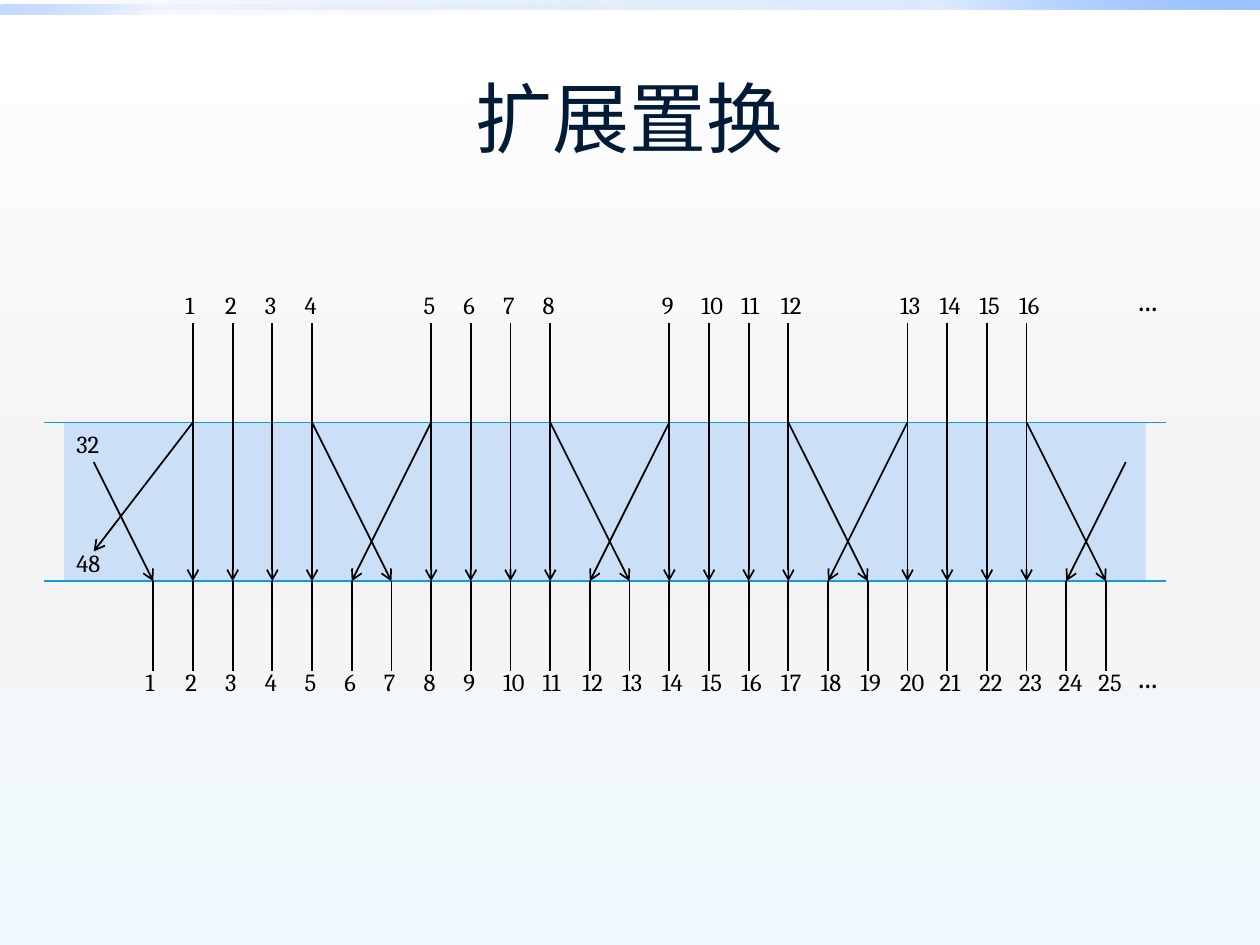
from dataclasses import dataclass

from lxml import etree
from pptx import Presentation
from pptx.dml.color import RGBColor
from pptx.enum.shapes import MSO_CONNECTOR, MSO_SHAPE
from pptx.enum.text import MSO_ANCHOR, MSO_AUTO_SIZE, PP_ALIGN
from pptx.oxml.ns import qn
from pptx.util import Inches, Pt

STRAIGHT = MSO_CONNECTOR.STRAIGHT
RECT = MSO_SHAPE.RECTANGLE
MIDDLE = MSO_ANCHOR.MIDDLE
GROW = MSO_AUTO_SIZE.SHAPE_TO_FIT_TEXT
CENTER = PP_ALIGN.CENTER
TITLE_ONLY = 5


@dataclass(frozen=True)
class Theme:
    title_font: str = "Roboto"
    label_font: str = "Cambria"
    title_size: int = 44
    label_size: int = 14
    dots_size: int = 18
    line_width: int = 1
    title: str = "001B36"
    ink: str = "000000"
    rail: str = "0D9BE9"
    band: str = "1B8DFF"
    band_alpha: int = 19
    # Gradient stops: position, colour, opacity (all in percent but the colour)
    background: tuple = ((0, "FFFFFF", 100), (55, "F4F4F4", 100), (100, "EEF9FF", 100))
    long_strip: tuple = ((0, "0058B7", 0), (75, "4F95FF", 20), (100, "9EC2FF", 100))
    short_strip: tuple = ((0, "0058B7", 0), (75, "4F95FF", 5), (100, "9EC2FF", 60))


THEME = Theme()
INPUTS, GROUP = 16, 4
OUTPUTS = 25
# Diagram grid: square units, counted from the column before output 1
GRID_WIDTH, FIRST_COL = 28.25, -1.75
INPUT_LABELS, INPUT_START, TOP_RAIL = 0, 1, 3.5
BOTTOM_RAIL, OUTPUT_LABELS, OUTPUT_END = 7.5, 9.5, 9.75


def set_alpha(color, percent):
    etree.SubElement(color, qn("a:alpha"), val=str(percent * 1000))


def fill_gradient(fill, stops, clockwise_angle):
    fill.gradient()
    fill.gradient_angle = 360 - clockwise_angle
    stop_list = fill._fill._gradFill.find(qn("a:gsLst"))
    for old in list(stop_list):
        stop_list.remove(old)
    for pos, rgb, alpha in stops:
        stop = etree.SubElement(stop_list, qn("a:gs"), pos=str(pos * 1000))
        set_alpha(etree.SubElement(stop, qn("a:srgbClr"), val=rgb), alpha)


def style_text(tf, font, size, color):
    for p in tf.paragraphs:
        for r in p.runs:
            r.font.name = font
            r.font.size = Pt(size)
            r.font.color.rgb = RGBColor.from_string(color)


def add_rect(slide, left, top, width, height):
    sp = slide.shapes.add_shape(RECT, int(left), int(top), int(width), int(height))
    sp.shadow.inherit = False
    sp.line.fill.background()
    return sp


def add_strips(slide, width, height):
    """Top edge decoration: a full strip and a fainter half strip below it."""
    full = add_rect(slide, 0, 0, width, height)
    fill_gradient(full.fill, THEME.long_strip, 315)
    half = add_rect(slide, 0, height / 2, width / 2, height)
    fill_gradient(half.fill, THEME.short_strip, 135)


def add_title(slide, text, left, top, width, height):
    title = slide.shapes.title
    title.left, title.top, title.width, title.height = map(int, (left, top, width, height))
    tf = title.text_frame
    tf.text = text
    tf.vertical_anchor = MIDDLE
    tf.paragraphs[0].alignment = CENTER
    style_text(tf, THEME.title_font, THEME.title_size, THEME.title)


def add_permutation(slide, left, top, width):
    unit = width / GRID_WIDTH

    def x(col):
        return int(left + (col - FIRST_COL) * unit)

    def y(row):
        return int(top + row * unit)

    def line(start, end, color=THEME.ink, arrow=False):
        cn = slide.shapes.add_connector(
            STRAIGHT, x(start[0]), y(start[1]), x(end[0]), y(end[1]))
        cn.line.color.rgb = RGBColor.from_string(color)
        cn.line.width = Pt(THEME.line_width)
        if arrow:
            etree.SubElement(cn.line._get_or_add_ln(), qn("a:tailEnd"), type="arrow")
        etree.SubElement(cn._element.spPr, qn("a:effectLst"))

    def label(text, col, row, cols=1.5, rows=1.08, size=THEME.label_size):
        box = slide.shapes.add_textbox(x(col), y(row), int(cols * unit), int(rows * unit))
        tf = box.text_frame
        tf.word_wrap = True
        tf.auto_size = GROW
        tf.text = str(text)
        style_text(tf, THEME.label_font, size, THEME.ink)

    band = add_rect(slide, x(-1.25), y(TOP_RAIL), 27.25 * unit,
                    (BOTTOM_RAIL - TOP_RAIL) * unit)
    band.fill.solid()
    band.fill.fore_color.rgb = RGBColor.from_string(THEME.band)
    set_alpha(band._element.spPr.find(".//" + qn("a:srgbClr")), THEME.band_alpha)
    for row in (TOP_RAIL, BOTTOM_RAIL):
        line((FIRST_COL, row), (FIRST_COL + GRID_WIDTH, row), THEME.rail)

    for n in range(1, INPUTS + 1):
        group, place = divmod(n - 1, GROUP)
        col = n + 1 + 2 * group
        line((col, INPUT_START), (col, BOTTOM_RAIL), arrow=True)
        label(n, col - 0.5, INPUT_LABELS)
        if place == GROUP - 1:
            line((col, TOP_RAIL), (col + 2, BOTTOM_RAIL), arrow=True)
        elif place == 0 and group:
            line((col, TOP_RAIL), (col - 2, BOTTOM_RAIL), arrow=True)

    for n in range(1, OUTPUTS + 1):
        line((n, BOTTOM_RAIL), (n, OUTPUT_END))
        label(n, n - 0.5, OUTPUT_LABELS)

    # Wrap-around links at both ends
    line((2, TOP_RAIL), (-0.5, 6.75), arrow=True)
    line((-0.5, 4.5), (1, BOTTOM_RAIL), arrow=True)
    line((25.5, 4.5), (24, BOTTOM_RAIL), arrow=True)
    label(32, -1.25, TOP_RAIL)
    label(48, -1.25, 6.5)
    for row in (INPUT_LABELS, OUTPUT_LABELS):
        label("...", 25.5, row - 0.25, 1.25, 1.27, THEME.dots_size)


def main():
    prs = Presentation()
    prs.slide_width, prs.slide_height = Inches(10), Inches(7.5)
    w, h = prs.slide_width, prs.slide_height
    slide = prs.slides.add_slide(prs.slide_layouts[TITLE_ONLY])
    fill_gradient(slide.background.fill, THEME.background, 90)
    add_strips(slide, w, 0.01 * h)
    add_title(slide, "扩展置换", 0.05 * w, 0.04 * h, 0.9 * w, h / 6)
    add_permutation(slide, 0.035 * w, 0.3 * h, 0.89 * w)
    prs.save("out.pptx")


if __name__ == "__main__":
    main()
